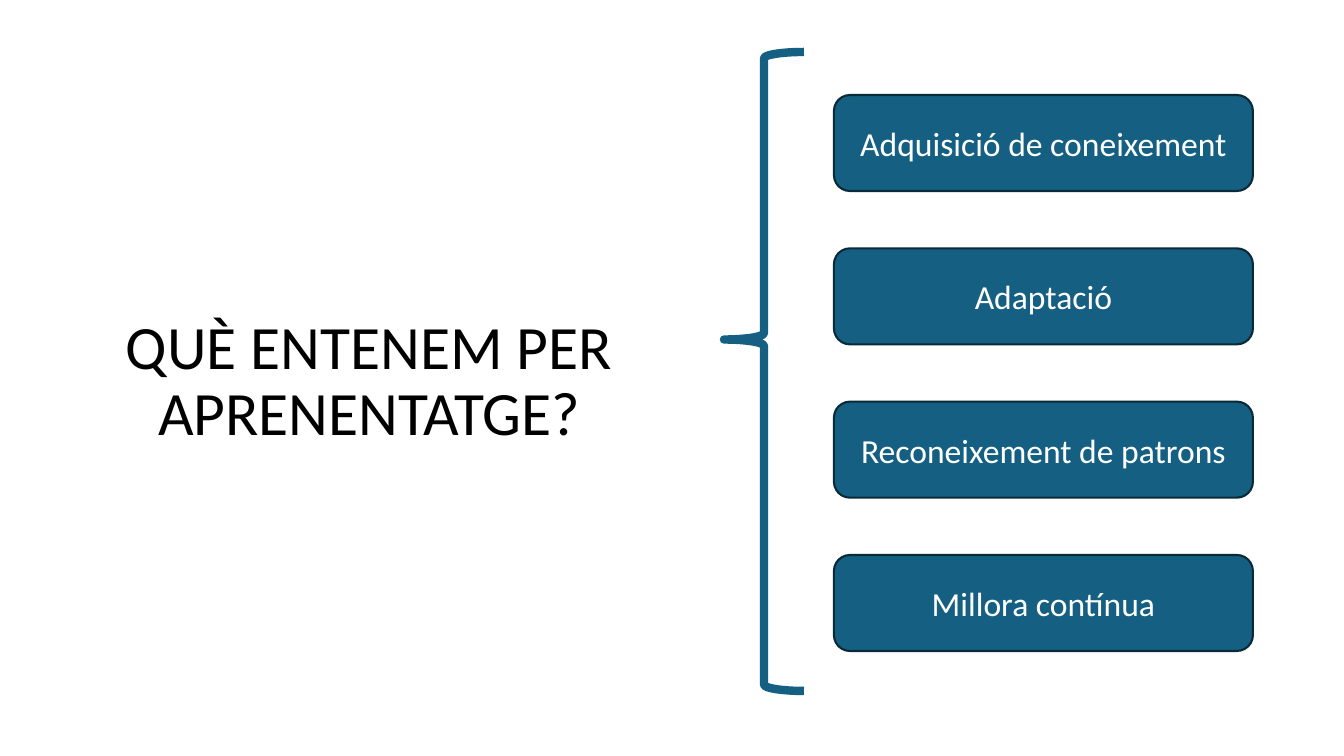
from pptx import Presentation
from pptx.dml.color import RGBColor
from pptx.enum.shapes import MSO_SHAPE
from pptx.enum.text import MSO_ANCHOR, MSO_AUTO_SIZE, PP_ALIGN
from pptx.util import Emu, Pt

BLACK = RGBColor(0x00, 0x00, 0x00)
WHITE = RGBColor(0xFF, 0xFF, 0xFF)
BLUE = RGBColor(0x15, 0x60, 0x82)
NAVY = RGBColor(0x09, 0x2A, 0x39)
FONT = "Calibri"
ASPECTS = ["Adquisició de coneixement", "Adaptació",
           "Reconeixement de patrons", "Millora contínua"]
FIRST_TOP, LAST_TOP = 95, 555


def px(n):
    return Emu(round(n * 914400 / 100.8))


def set_text(tf, text, size, color, anchor):
    tf.text = text
    tf.word_wrap = True
    tf.auto_size = MSO_AUTO_SIZE.NONE
    tf.vertical_anchor = anchor
    p = tf.paragraphs[0]
    p.alignment = PP_ALIGN.CENTER
    p.font.name = FONT
    p.font.size = Pt(size)
    p.font.color.rgb = color
    return p


prs = Presentation()
prs.slide_width, prs.slide_height = px(1344), px(756)
s = prs.slides.add_slide(prs.slide_layouts[5])

title = s.shapes.title
title.left, title.top, title.width, title.height = px(66), px(301), px(607), px(153)
p = set_text(title.text_frame, "QUÈ ENTENEM PER APRENENTATGE?", 44, BLACK, MSO_ANCHOR.BOTTOM)
p.line_spacing = 0.9

for i, aspect in enumerate(ASPECTS):
    top = FIRST_TOP + i * (LAST_TOP - FIRST_TOP) / (len(ASPECTS) - 1)
    box = s.shapes.add_shape(MSO_SHAPE.ROUNDED_RECTANGLE, px(834), px(top), px(419), px(96))
    box.shadow.inherit = False
    box.fill.solid()
    box.fill.fore_color.rgb = BLUE
    box.line.color.rgb = NAVY
    box.line.width = Pt(1.5)
    set_text(box.text_frame, aspect, 24, WHITE, MSO_ANCHOR.MIDDLE)

brace = s.shapes.add_shape(MSO_SHAPE.LEFT_BRACE, px(724), px(52), px(80), px(639))
brace.shadow.inherit = False
brace.adjustments[0] = 0.08
brace.adjustments[1] = 0.45
brace.fill.background()
brace.line.color.rgb = BLUE
brace.line.width = Pt(6)

prs.save("out.pptx")
